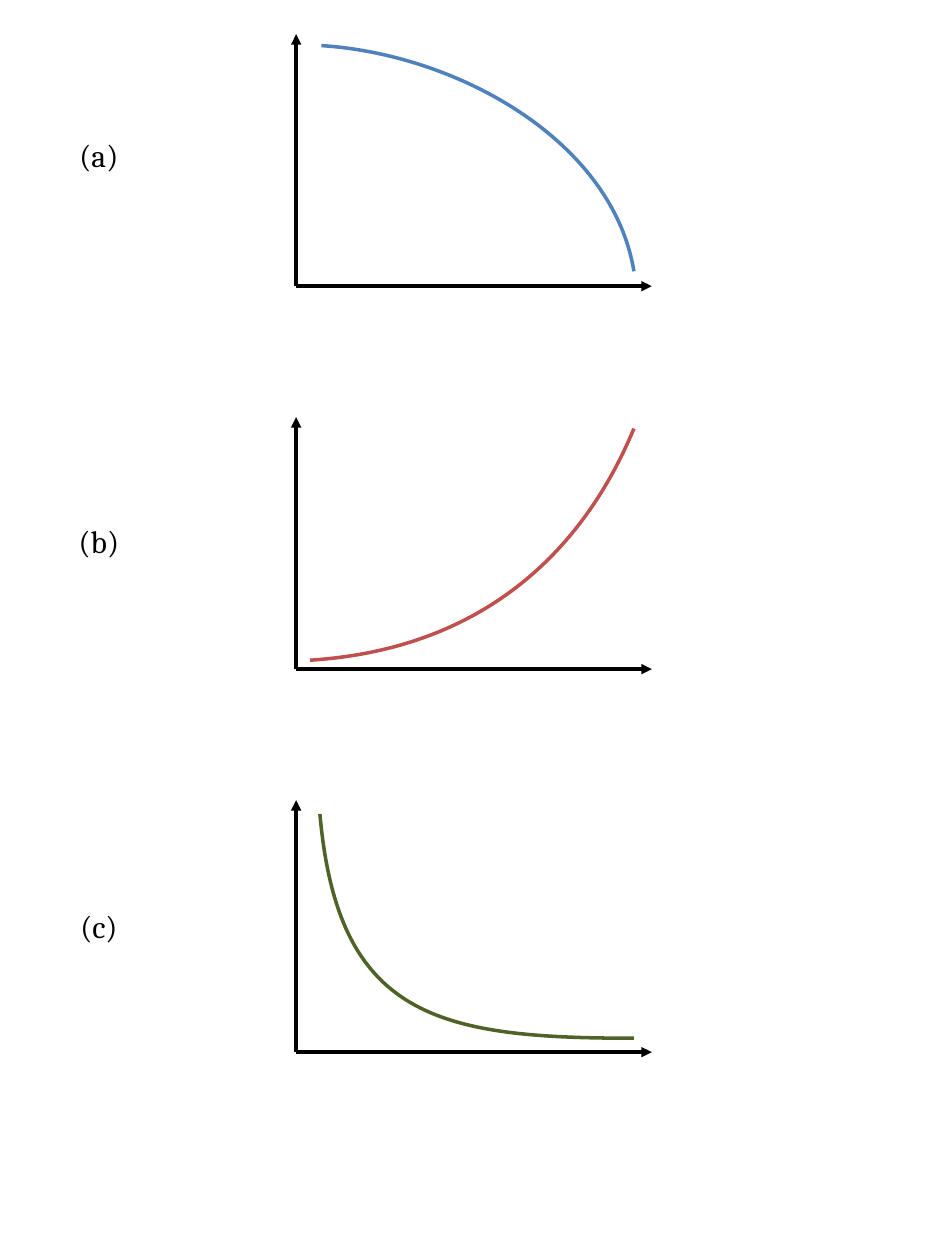
from lxml import etree
from pptx import Presentation
from pptx.dml.color import RGBColor
from pptx.enum.shapes import MSO_CONNECTOR
from pptx.enum.text import MSO_ANCHOR, MSO_AUTO_SIZE, PP_ALIGN
from pptx.oxml.ns import qn
from pptx.util import Cm, Pt

STRAIGHT = MSO_CONNECTOR.STRAIGHT
CENTER = PP_ALIGN.CENTER
TOP = MSO_ANCHOR.TOP
FIT_SHAPE = MSO_AUTO_SIZE.SHAPE_TO_FIT_TEXT

BLACK = RGBColor(0, 0, 0)
BLUE = RGBColor(0x4F, 0x81, 0xBD)
RED = RGBColor(0xC0, 0x50, 0x4D)
GREEN = RGBColor(0x4F, 0x62, 0x28)

PANELS = [
    ("(a)", BLUE, [(6.81, 0.3), (6.38, 2.92), (3.28, 4.67), (0.51, 4.85)]),
    ("(b)", RED, [(6.81, 4.85), (5.84, 2.51), (3.89, 0.41), (0.28, 0.18)]),
    ("(c)", GREEN, [(0.48, 4.8), (0.84, 0.71), (2.84, 0.28), (6.81, 0.28)]),
]

ORIGIN_X, FIRST_ORIGIN_Y, PANEL_PITCH = 5.97, 5.77, 7.72
AXIS_WIDTH, AXIS_HEIGHT = 7.17, 5.08
LABEL_LEFT, FIRST_LABEL_TOP, LABEL_PITCH = 1.12, 2.62, 7.77
LABEL_WIDTH, LABEL_HEIGHT = 1.75, 1.02
LINE_WIDTH = Pt(2)


def style_line(shape, color):
    shape.line.color.rgb = color
    shape.line.width = LINE_WIDTH


def add_axis(group, origin, end):
    axis = group.shapes.add_connector(STRAIGHT, *origin, *end)
    style_line(axis, BLACK)
    etree.SubElement(axis.line._get_or_add_ln(), qn("a:tailEnd"), type="triangle")
    etree.SubElement(axis._element.spPr, qn("a:effectLst"))


def add_curve(group, points, color):
    builder = group.shapes.build_freeform(*points[0])
    builder.add_line_segments(points[1:], close=False)
    curve = builder.convert_to_shape()
    curve.shadow.inherit = False
    curve.fill.background()
    style_line(curve, color)
    outline = next(curve._element.iter(qn("a:path")))
    bezier = etree.SubElement(outline, qn("a:cubicBezTo"))
    for segment in outline.findall(qn("a:lnTo")):
        bezier.append(segment[0])
        outline.remove(segment)


def add_label(slide, text, top):
    box = slide.shapes.add_textbox(
        Cm(LABEL_LEFT), Cm(top), Cm(LABEL_WIDTH), Cm(LABEL_HEIGHT))
    frame = box.text_frame
    frame.word_wrap = True
    frame.auto_size = FIT_SHAPE
    frame.vertical_anchor = TOP
    paragraph = frame.paragraphs[0]
    paragraph.text = text
    paragraph.alignment = CENTER
    paragraph.font.name = "Cambria"
    paragraph.font.size = Pt(18)
    paragraph.font.color.rgb = BLACK


def main():
    presentation = Presentation()
    presentation.slide_width = Cm(19.05)
    presentation.slide_height = Cm(25.4)
    slide = presentation.slides.add_slide(presentation.slide_layouts[6])
    for index, (label, color, controls) in enumerate(PANELS):
        origin_y = FIRST_ORIGIN_Y + index * PANEL_PITCH

        def place(right, up):
            return Cm(ORIGIN_X + right), Cm(origin_y - up)

        group = slide.shapes.add_group_shape()
        add_axis(group, place(0, 0), place(0, AXIS_HEIGHT))
        add_axis(group, place(0, 0), place(AXIS_WIDTH, 0))
        add_curve(group, [place(*point) for point in controls], color)
        add_label(slide, label, FIRST_LABEL_TOP + index * LABEL_PITCH)
    presentation.save("out.pptx")


if __name__ == "__main__":
    main()
